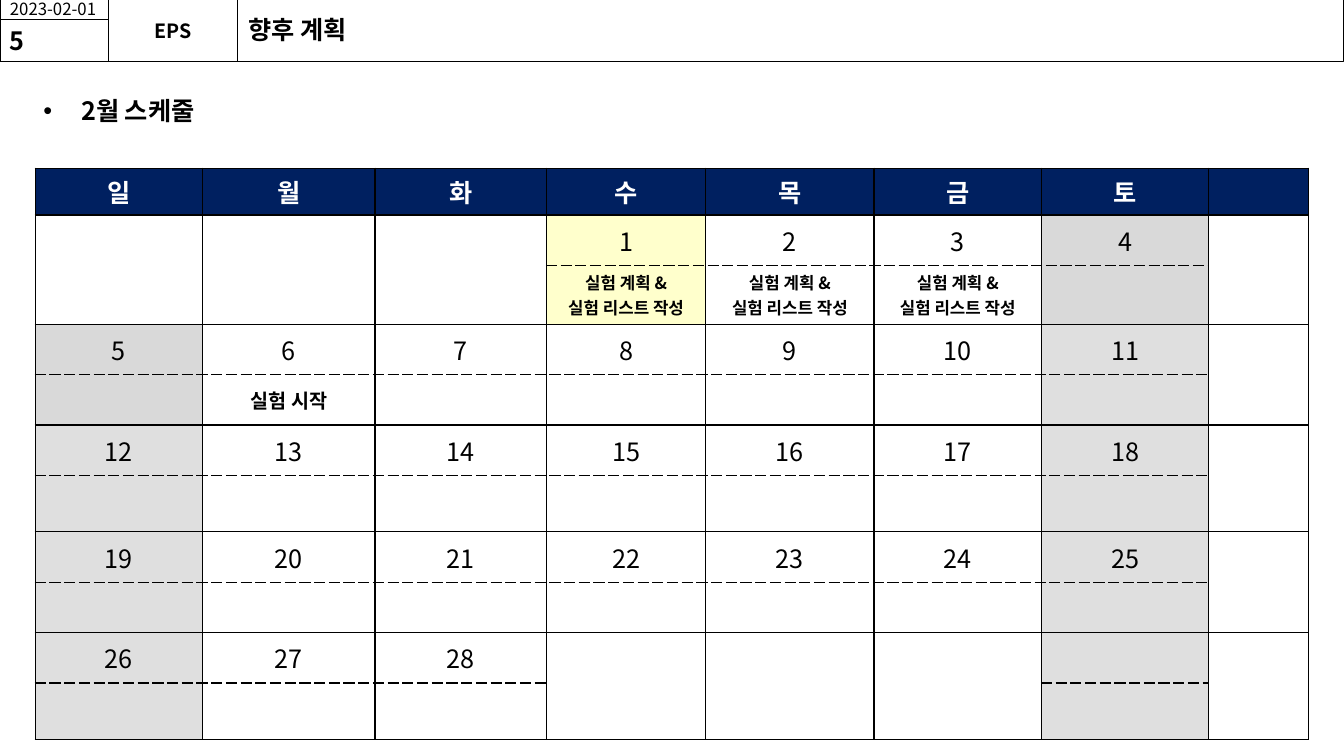
"""Build the February schedule slide with its header strip and calendar table."""
from dataclasses import dataclass

from lxml import etree
from pptx import Presentation
from pptx.dml.color import RGBColor
from pptx.enum.shapes import MSO_SHAPE
from pptx.enum.text import MSO_ANCHOR, MSO_AUTO_SIZE, PP_ALIGN
from pptx.oxml.ns import qn
from pptx.util import Inches, Pt

RECTANGLE = MSO_SHAPE.RECTANGLE
MIDDLE, TOP = MSO_ANCHOR.MIDDLE, MSO_ANCHOR.TOP
LEFT, CENTER = PP_ALIGN.LEFT, PP_ALIGN.CENTER
NO_AUTOFIT = MSO_AUTO_SIZE.NONE

FONT = "Noto Sans CJK KR"
BLACK, WHITE, NAVY = "000000", "FFFFFF", "002060"
YELLOW, GRAY, LIGHT_GRAY = "FFFFCC", "D9D9D9", "DFDFDF"

WEEKDAYS = ["일", "월", "화", "수", "목", "금", "토", ""]
COLUMN_WIDTHS = [1.66, 1.71, 1.7, 1.58, 1.67, 1.66, 1.66, 0.99]
ROW_HEIGHTS = [0.41, 0.5, 0.5, 0.5, 0.5, 0.5, 0.56, 0.5, 0.5, 0.5, 0.56]
WEEKS = 5
LAST_DAY = 28
FIRST_DAY_COLUMN = 3
SUNDAY, SATURDAY, NOTES = 0, 6, 7
TODAY = 1
PLANNING = ["실험 계획 &", "실험 리스트 작성"]


@dataclass
class Event:
    lines: list[str]
    size: int


@dataclass
class HeaderBox:
    left: float
    top: float
    width: float
    height: float
    text: str = ""
    size: int = 18
    bold: bool = True
    align: PP_ALIGN = LEFT
    inset: float = 0.1


EVENTS = {day: Event(PLANNING, 12) for day in (1, 2, 3)}
EVENTS[6] = Event(["실험 시작"], 14)

HEADER_BOXES = [
    HeaderBox(2.36, -0.01, 10.97, 0.62),
    HeaderBox(0, -0.01, 1.08, 0.2, "2023-02-01", 12, False),
    HeaderBox(1.08, -0.01, 1.28, 0.62, "EPS", 14, align=CENTER, inset=0),
    HeaderBox(0, 0.19, 1.08, 0.42, "5"),
]


def rgb(color: str) -> RGBColor:
    """Turn a hex string into a colour."""
    return RGBColor.from_string(color)


def write(frame, lines: list[str], size: int, bold: bool, align: PP_ALIGN, color: str = BLACK) -> None:
    """Write one formatted paragraph for each line."""
    frame.text = "\n".join(lines)
    for paragraph in frame.paragraphs:
        paragraph.alignment = align
        font = paragraph.font
        font.name, font.size, font.bold = FONT, Pt(size), bold
        font.color.rgb = rgb(color)
        defaults = paragraph._p.pPr.find(qn("a:defRPr"))
        etree.SubElement(defaults, qn("a:ea"), typeface=FONT)


def place(shape, left: float, top: float, width: float, height: float) -> None:
    """Move and size a shape."""
    shape.left, shape.top = Inches(left), Inches(top)
    shape.width, shape.height = Inches(width), Inches(height)


def add_header_box(slide, box: HeaderBox) -> None:
    """Draw one outlined box of the header strip."""
    shape = slide.shapes.add_shape(
        RECTANGLE, Inches(box.left), Inches(box.top), Inches(box.width), Inches(box.height))
    shape.shadow.inherit = False
    shape.fill.background()
    shape.line.color.rgb = rgb(BLACK)
    shape.line.width = Pt(0.75)
    if box.text:
        frame = shape.text_frame
        frame.vertical_anchor = MIDDLE
        frame.margin_left = frame.margin_right = Inches(box.inset)
        frame.margin_top = frame.margin_bottom = Inches(box.inset / 2)
        write(frame, [box.text], box.size, box.bold, box.align)


def set_borders(cell, dashed_side: str = "") -> None:
    """Draw black borders around a cell, one of them dashed if named."""
    properties = cell._tc.get_or_add_tcPr()
    for side in ("lnL", "lnR", "lnT", "lnB"):
        line = etree.SubElement(properties, qn(f"a:{side}"), w=str(Pt(1)))
        fill = etree.SubElement(line, qn("a:solidFill"))
        etree.SubElement(fill, qn("a:srgbClr"), val=BLACK)
        dash = "sysDash" if side == dashed_side else "solid"
        etree.SubElement(line, qn("a:prstDash"), val=dash)


def format_cell(cell, fill: str, dashed_side: str = "") -> None:
    """Set borders, fill and anchor of a cell."""
    set_borders(cell, dashed_side)
    cell.vertical_anchor = MIDDLE
    if fill:
        cell.fill.solid()
        cell.fill.fore_color.rgb = rgb(fill)
    else:
        cell.fill.background()


def day_fill(week: int, column: int, day: int) -> str:
    """Choose the fill of a calendar day."""
    if column == NOTES:
        return WHITE
    if day == TODAY:
        return YELLOW
    if column == SATURDAY or (column == SUNDAY and week > 0):
        return GRAY if (week, column) in ((0, SATURDAY), (1, SUNDAY)) else LIGHT_GRAY
    return ""


def add_day(table, week: int, column: int) -> None:
    """Fill the number cell and the event cell of one calendar day."""
    number, detail = (table.cell(1 + 2 * week + part, column) for part in (0, 1))
    day = 7 * week + column - FIRST_DAY_COLUMN + 1
    in_month = column != NOTES and 1 <= day <= LAST_DAY
    split = in_month or column == SATURDAY
    fill = day_fill(week, column, day)
    format_cell(number, fill, "lnB" if split else "")
    format_cell(detail, fill, "lnT" if split else "")
    if not split:
        number.merge(detail)
    if in_month:
        write(number.text_frame, [str(day)], 18, False, CENTER)
    if in_month and day in EVENTS:
        event = EVENTS[day]
        write(detail.text_frame, event.lines, event.size, True, CENTER)


def add_calendar(slide) -> None:
    """Add the month table."""
    table = slide.shapes.add_table(
        len(ROW_HEIGHTS), len(COLUMN_WIDTHS), Inches(0.35), Inches(1.67),
        Inches(sum(COLUMN_WIDTHS)), Inches(sum(ROW_HEIGHTS))).table
    table.first_row = table.horz_banding = False
    for row, height in zip(table.rows, ROW_HEIGHTS):
        row.height = Inches(height)
    for column, (width, weekday) in enumerate(zip(COLUMN_WIDTHS, WEEKDAYS)):
        table.columns[column].width = Inches(width)
        heading = table.cell(0, column)
        format_cell(heading, NAVY)
        if weekday:
            write(heading.text_frame, [weekday], 18, True, CENTER, WHITE)
        for week in range(WEEKS):
            add_day(table, week, column)


def add_schedule_heading(body) -> None:
    """Format the body placeholder as the check-marked heading."""
    place(body, 0.33, 0.9, 11.92, 6.09)
    frame = body.text_frame
    frame.auto_size = NO_AUTOFIT
    frame.vertical_anchor = TOP
    paragraph = frame.paragraphs[0]
    properties = paragraph._p.get_or_add_pPr()
    properties.set("marL", str(Inches(0.25)))
    properties.set("indent", str(-Inches(0.25)))
    etree.SubElement(properties, qn("a:buChar"), char="✓")
    write(frame, ["2월 스케줄"], 18, True, LEFT)
    paragraph.line_spacing = 0.9
    paragraph.space_before = Pt(0)


def main() -> None:
    """Build and save the slide."""
    presentation = Presentation()
    presentation.slide_width, presentation.slide_height = Inches(13.33), Inches(7.5)
    slide = presentation.slides.add_slide(presentation.slide_layouts[1])
    title, body = slide.placeholders
    place(title, 2.36, 0.09, 7.29, 0.4)
    title.text_frame.auto_size = NO_AUTOFIT
    title.text_frame.vertical_anchor = MIDDLE
    write(title.text_frame, ["향후 계획"], 18, True, LEFT)
    add_schedule_heading(body)
    for box in HEADER_BOXES:
        add_header_box(slide, box)
    add_calendar(slide)
    presentation.save("out.pptx")


if __name__ == "__main__":
    main()
